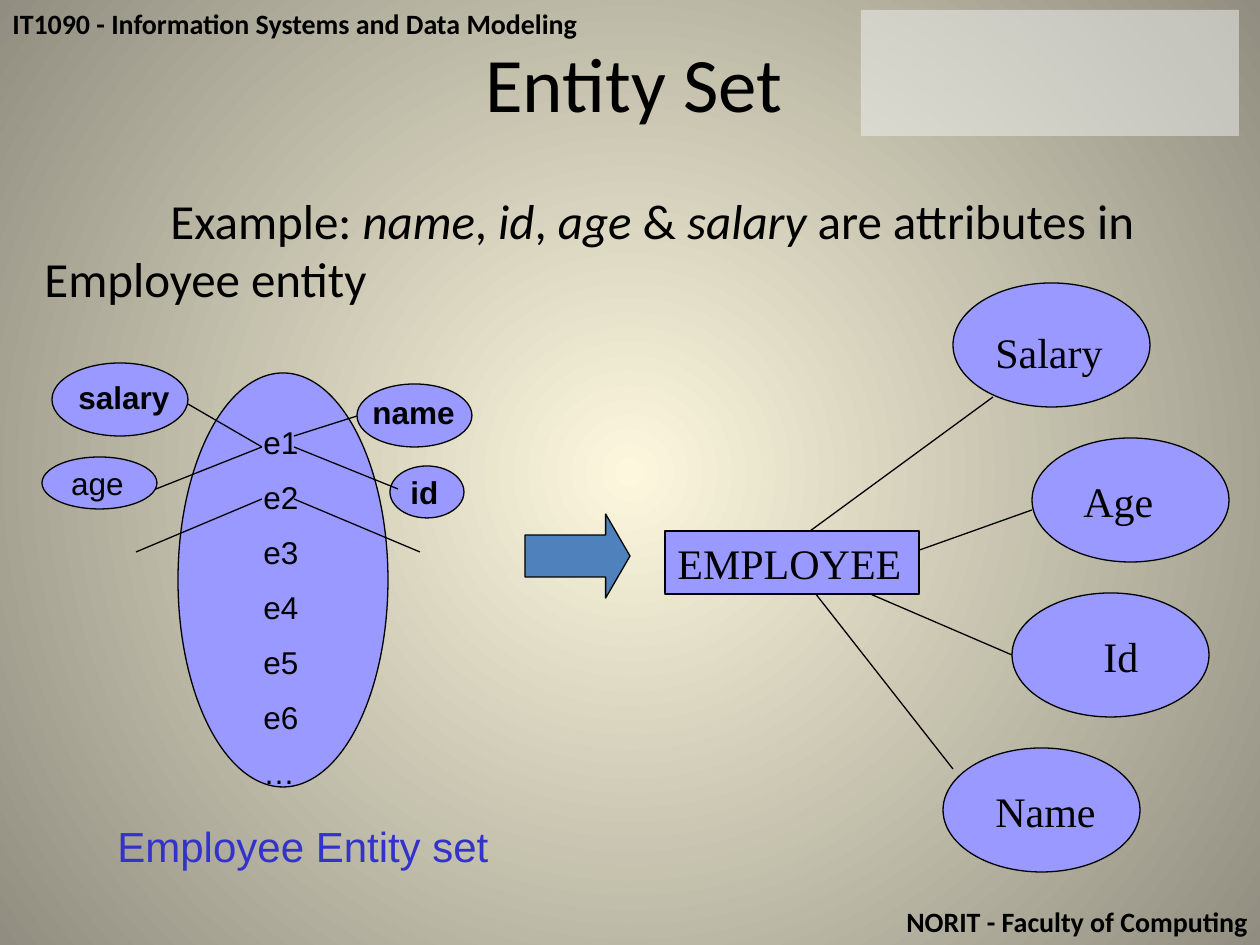
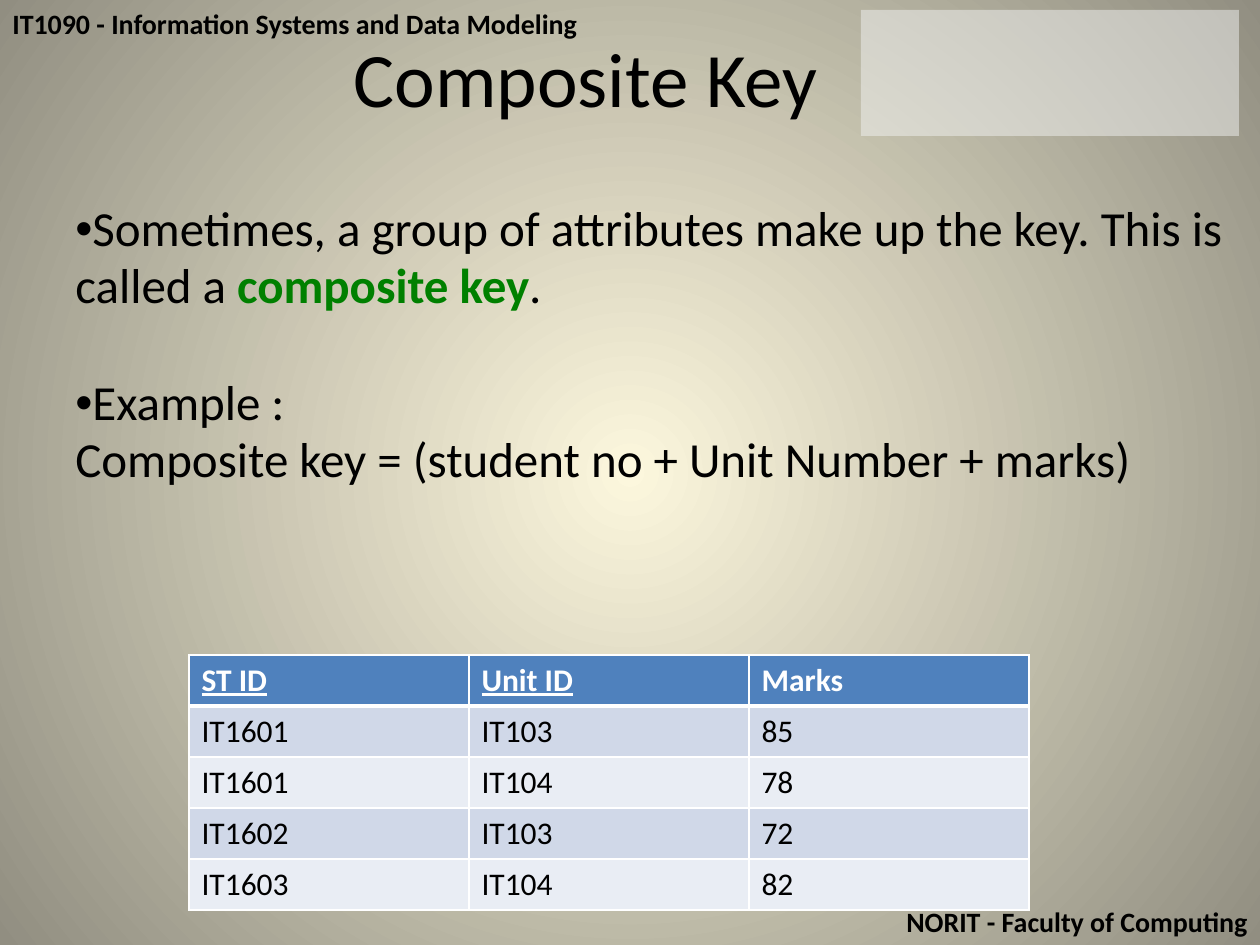
from lxml.etree import SubElement
from pptx import Presentation
from pptx.dml.color import RGBColor
from pptx.enum.shapes import MSO_CONNECTOR, MSO_SHAPE
from pptx.enum.text import MSO_ANCHOR, PP_ALIGN
from pptx.oxml.ns import qn
from pptx.util import Pt

# Colours
BLACK = RGBColor(0x00, 0x00, 0x00)
WHITE = RGBColor(0xFF, 0xFF, 0xFF)
CREAM = RGBColor(0xFC, 0xF7, 0xDD)
STONE = RGBColor(0x91, 0x8E, 0x81)
PALE_GREY = RGBColor(0xF2, 0xF2, 0xF2)
LILAC = RGBColor(0x99, 0x99, 0xFF)
BLUE = RGBColor(0x4F, 0x81, 0xBD)
CAPTION_BLUE = RGBColor(0x33, 0x33, 0xCC)
KEY_GREEN = RGBColor(0x00, 0x80, 0x00)
ROW_TINTS = (RGBColor(0xD0, 0xD8, 0xE8), RGBColor(0xE9, 0xED, 0xF4))

EMU_PER_PX = 914400 / 126
COURSE = "IT1090 - Information Systems and Data Modeling"
FACULTY = "NORIT - Faculty of Computing"


def px(length):
    return round(length * EMU_PER_PX)


def write(frame, *paragraphs, align=PP_ALIGN.LEFT, before=0, spacing=None, **font):
    """Each paragraph is a string or a list of (text, font overrides) runs."""
    for number, runs in enumerate(paragraphs):
        paragraph = frame.paragraphs[0] if number == 0 else frame.add_paragraph()
        paragraph.alignment = align
        if number:
            paragraph.space_before = Pt(before)
        if spacing:
            paragraph.line_spacing = spacing
        for text, changes in [(runs, {})] if isinstance(runs, str) else runs:
            look = {"name": "Calibri", "size": 18, "color": BLACK, **font, **changes}
            run = paragraph.add_run()
            run.text = text
            run.font.name = look["name"]
            run.font.size = Pt(look["size"])
            run.font.color.rgb = look["color"]
            run.font.bold = look.get("bold", False)
            run.font.italic = look.get("italic", False)
            run.font.underline = look.get("underline", False)


class Deck:
    """Holds the shared style and the slide being built."""

    def __init__(self):
        self.deck = Presentation()
        self.deck.slide_width, self.deck.slide_height = px(1260), px(945)
        self.slide = None

    def new_slide(self, title, left, top):
        self.slide = self.deck.slides.add_slide(self.deck.slide_layouts[6])
        self.background()
        self.text(0, 0, 1260, 47, COURSE, size=16, bold=True)
        self.text(0, 898, 1260, 47, FACULTY, size=16, bold=True, align=PP_ALIGN.RIGHT)
        band = self.shape(MSO_SHAPE.RECTANGLE, 861, 10, 378, 126, PALE_GREY, None)
        band_color = band._element.spPr.find(".//" + qn("a:srgbClr"))
        SubElement(band_color, qn("a:alpha"), val="50000")
        self.text(left, top, 878, 178, title, size=44, align=PP_ALIGN.CENTER)

    def background(self):
        fill = self.slide.background.fill
        fill.gradient()
        for stop, position, color in zip(fill.gradient_stops, (0, 1), (CREAM, STONE)):
            stop.position = position
            stop.color.rgb = color
        gradient = self.slide._element.find(".//" + qn("a:gradFill"))
        gradient.remove(gradient.find(qn("a:lin")))
        circle = SubElement(gradient, qn("a:path"), path="circle")
        SubElement(circle, qn("a:fillToRect"), dict.fromkeys("ltrb", "50000"))

    def text(self, left, top, width, height, *paragraphs, **form):
        box = self.slide.shapes.add_textbox(px(left), px(top), px(width), px(height))
        box.text_frame.word_wrap = True
        write(box.text_frame, *paragraphs, **form)
        return box.text_frame

    def shape(self, kind, left, top, width, height, fill=LILAC, line=BLACK):
        shape = self.slide.shapes.add_shape(kind, px(left), px(top), px(width), px(height))
        shape.shadow.inherit = False
        shape.fill.solid()
        shape.fill.fore_color.rgb = fill
        if line is None:
            shape.line.fill.background()
        else:
            shape.line.color.rgb = line
            shape.line.width = Pt(0.75)
        return shape

    def ellipse(self, *place):
        return self.shape(MSO_SHAPE.OVAL, *place)

    def line(self, *ends):
        link = self.slide.shapes.add_connector(MSO_CONNECTOR.STRAIGHT, *map(px, ends))
        link.line.color.rgb = BLACK
        link.line.width = Pt(0.75)
        SubElement(link._element.spPr, qn("a:effectLst"))

    def bullet(self, paragraph):
        properties = paragraph._p.get_or_add_pPr()
        SubElement(properties, qn("a:buFont"), typeface="Arial")
        SubElement(properties, qn("a:buChar"), char="•")

    def cell_borders(self, cell, bottom):
        properties = cell._tc.get_or_add_tcPr()
        for index, side in enumerate("LRTB"):
            points = bottom if side == "B" else 1
            border = SubElement(properties, qn("a:ln" + side), w=str(Pt(points)))
            properties.insert(index, border)
            fill = SubElement(border, qn("a:solidFill"))
            SubElement(fill, qn("a:srgbClr"), val=str(WHITE))

    def table(self, left, top, column_width, row_height, rows, key_columns):
        columns = len(rows[0])
        grid = self.slide.shapes.add_table(
            len(rows), columns, px(left), px(top),
            px(column_width * columns), px(row_height * len(rows))).table
        for r, row in enumerate(rows):
            header = r == 0
            for c, value in enumerate(row):
                cell = grid.cell(r, c)
                cell.fill.solid()
                cell.fill.fore_color.rgb = BLUE if header else ROW_TINTS[(r - 1) % 2]
                self.cell_borders(cell, bottom=3 if header else 1)
                write(cell.text_frame, value, bold=header,
                      color=WHITE if header else BLACK,
                      underline=header and c in key_columns)


def entity_set_slide(deck):
    deck.new_slide("Entity Set", 195, 29)
    italic = {"italic": True}
    example = deck.text(
        32, 184, 1228, 130,
        [("Example: ", {}), ("name", italic), (", ", {}), ("id", italic), (", ", {}),
         ("age", italic), (" & ", {}), ("salary", italic),
         (" are attributes in Employee entity", {})], size=28)
    example.paragraphs[0]._p.get_or_add_pPr().set("indent", str(px(126)))

    # Employee entity with its attributes: ellipse left, label left and drop, link
    serif = {"name": "Times New Roman", "size": 24}
    attributes = [
        ("Salary", 953, 983, 37, (993, 397, 795, 542)),
        ("Age", 1032, 1071, 31, (1032, 510, 914, 552)),
        ("Id", 1012, 1091, 31, (1012, 655, 854, 587)),
        ("Name", 943, 983, 31, (953, 769, 815, 593)),
    ]
    for row, (attribute, left, label_left, drop, link) in enumerate(attributes):
        top = 283 + 155 * row
        deck.ellipse(left, top, 197, 124)
        deck.text(label_left, top + drop, 140, 63, attribute, **serif)
        deck.line(*link)
    deck.shape(MSO_SHAPE.RECTANGLE, 665, 531, 254, 63)
    deck.text(665, 531, 254, 63, "EMPLOYEE", **serif)

    # Arrow from the set to the entity
    arrow = deck.shape(MSO_SHAPE.RIGHT_ARROW, 525, 514, 105, 84, BLUE)
    arrow.adjustments[1] = 0.29

    # Entity set with its members
    sans = {"name": "Arial", "size": 18}
    deck.ellipse(390, 466, 74, 52)
    deck.ellipse(357, 384, 115, 63)
    deck.ellipse(52, 363, 136, 73)
    age = deck.ellipse(42, 457, 115, 52).text_frame
    age.word_wrap = False
    age.vertical_anchor = MSO_ANCHOR.MIDDLE
    write(age, "age", **sans)
    deck.ellipse(178, 373, 210, 414)
    members = [f"e{number}" for number in range(1, 7)] + ["…"]
    deck.text(251, 417, 73, 329, *members, before=9.8, **sans)
    deck.text(105, 814, 420, 53, "Employee Entity set",
              name="Arial", size=24, color=CAPTION_BLUE)
    for label, left, top in [("salary", 66, 372), ("id", 398, 467), ("name", 360, 387)]:
        deck.text(left, top, 140, 50, label, bold=True, **sans)

    # Links from members to attribute values
    for link in [(188, 404, 262, 447), (156, 489, 262, 447), (294, 436, 357, 416),
                 (294, 447, 398, 489), (262, 499, 136, 552), (294, 499, 420, 552)]:
        deck.line(*link)


def composite_key_slide(deck):
    deck.new_slide("Composite Key", 147, 24)
    body = deck.text(
        63, 194, 1197, 330,
        [("Sometimes, a group of attributes make up the key. This is called a ", {}),
         ("composite key", {"bold": True, "color": KEY_GREEN}), (".", {})],
        "Example :",
        "Composite key = (student no + Unit Number + marks)",
        size=28, spacing=0.98)
    definition, example, _ = body.paragraphs
    deck.bullet(definition)
    deck.bullet(example)
    example.space_before = Pt(33.5)

    # Marks table
    deck.table(189, 655, 280, 51, [
        ("ST ID", "Unit ID", "Marks"),
        ("IT1601", "IT103", "85"),
        ("IT1601", "IT104", "78"),
        ("IT1602", "IT103", "72"),
        ("IT1603", "IT104", "82"),
    ], key_columns=(0, 1))


def main():
    deck = Deck()
    entity_set_slide(deck)
    composite_key_slide(deck)
    deck.deck.save("out.pptx")


if __name__ == "__main__":
    main()
